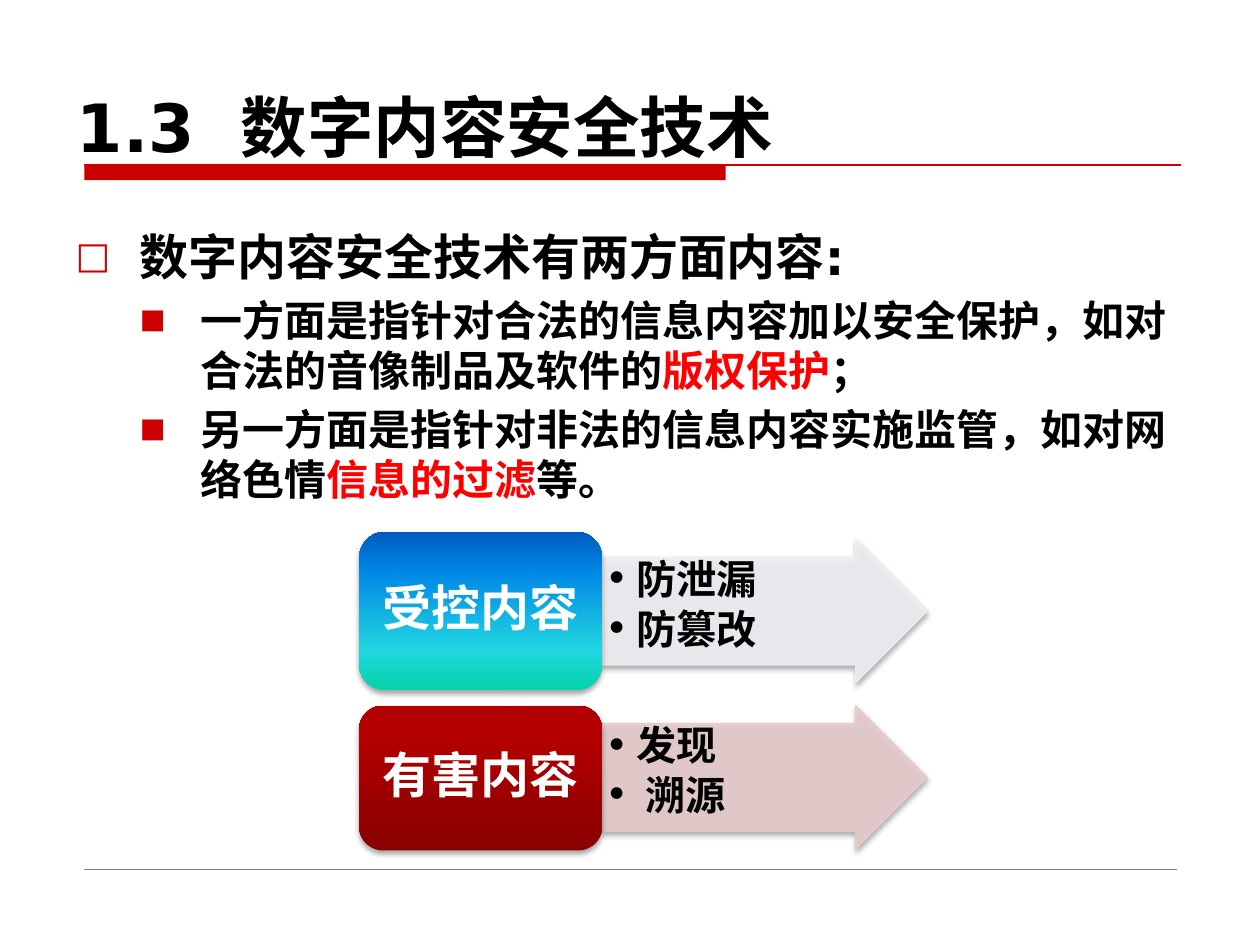
import pptx
import pptx.util
import pptx.dml.color
import pptx.enum.shapes
import pptx.enum.text
import pptx.oxml
import pptx.oxml.ns

Inches = pptx.util.Inches
Pt = pptx.util.Pt
RGBColor = pptx.dml.color.RGBColor
Shape = pptx.enum.shapes.MSO_SHAPE
Anchor = pptx.enum.text.MSO_ANCHOR
Align = pptx.enum.text.PP_ALIGN

BLACK = RGBColor(0, 0, 0)
WHITE = RGBColor(255, 255, 255)
RED = RGBColor(255, 0, 0)
CRIMSON = RGBColor(204, 0, 0)
GREY = RGBColor(128, 128, 128)
PALE_GREY = RGBColor(237, 239, 242)
PALE_RED = RGBColor(230, 203, 203)

LATIN = "DejaVu Sans"
CHINESE = "Noto Sans CJK SC"

TITLE = ["1.3", " ", "数字内容安全技术"]
HEADING = "数字内容安全技术有两方面内容:"
ASPECTS = [
    [("一方面是指针对合法的信息内容加以安全保护，如对合法的音像制品及软件的", BLACK),
     ("版权保护", RED), ("；", BLACK)],
    [("另一方面是指针对非法的信息内容实施监管，如对网络色情", BLACK),
     ("信息的过滤", RED), ("等。", BLACK)],
]
ROWS = [
    {"label": "受控内容", "measures": [("防泄漏", 0.25), ("防篡改", 0.25)],
     "pill": (4.22, 1.26), "arrow_top": 4.28, "tint": PALE_GREY,
     "stops": [(0, "03D4A8"), (25, "21D6E0"), (75, "0087E6"), (100, "005CBF")]},
    {"label": "有害内容", "measures": [("发现", 0.25), ("溯源", 0.32)],
     "pill": (5.6, 1.15), "arrow_top": 5.6, "tint": PALE_RED,
     "stops": [(0, "8A0000"), (80, "B30000"), (100, "B40000")]},
]
PILL_LEFT, PILL_WIDTH = 2.85, 1.93
ARROW_SIZE = (2.58, 1.14)


def element(xml):
    head, tail = xml.split(" ", 1) if " " in xml.split(">")[0] else (xml.split(">")[0].rstrip("/"), "")
    if not tail:
        tail = xml[len(head):]
    return pptx.oxml.parse_xml(f"{head} {pptx.oxml.ns.nsdecls('a')} {tail}")


def apply(target, values):
    for name, value in values.items():
        setattr(target, name, value)


def add_span(para, text, size, color=BLACK, font=LATIN):
    span = para.add_run()
    span.text = text
    apply(span.font, {"name": font, "size": Pt(size), "bold": True})
    span.font.color.rgb = color
    return span


def set_bullet(para, mark, color, percent, margin, hanging):
    properties = para._p.get_or_add_pPr()
    properties.set("marL", str(Inches(margin)))
    properties.set("indent", str(-Inches(hanging)))
    for xml in (f'<a:buClr><a:srgbClr val="{color}"/></a:buClr>',
                f'<a:buSzPct val="{percent * 1000}"/>',
                f'<a:buFont typeface="{LATIN}"/>',
                f'<a:buChar char="{mark}"/>'):
        properties.append(element(xml))


def place(box, left, top, width, height):
    apply(box, {"left": Inches(left), "top": Inches(top),
                "width": Inches(width), "height": Inches(height)})


def set_insets(frame, horizontal, vertical):
    apply(frame, {"margin_left": Inches(horizontal), "margin_right": Inches(horizontal),
                  "margin_top": Inches(vertical), "margin_bottom": Inches(vertical),
                  "word_wrap": True})


def add_rule(page, top, right, color, width):
    rule = page.shapes.add_connector(pptx.enum.shapes.MSO_CONNECTOR.STRAIGHT,
                                     Inches(0.67), Inches(top), Inches(right), Inches(top))
    rule.line.color.rgb = color
    rule.line.width = Pt(width)
    rule._element.spPr.append(element("<a:effectLst/>"))


def add_shadow(shape):
    shape._element.spPr.append(element(
        '<a:effectLst><a:outerShdw blurRad="40000" dist="23000" dir="5400000" rotWithShape="0">'
        '<a:srgbClr val="000000"><a:alpha val="35000"/></a:srgbClr></a:outerShdw></a:effectLst>'))


def add_arrow(page, row):
    arrow = page.shapes.add_shape(Shape.RIGHT_ARROW, Inches(PILL_LEFT + PILL_WIDTH),
                                  Inches(row["arrow_top"]), *map(Inches, ARROW_SIZE))
    arrow.adjustments[0] = 0.75
    arrow.adjustments[1] = 0.5
    arrow.fill.solid()
    arrow.line.width = Pt(0.75)
    for paint in (arrow.fill.fore_color, arrow.line.color):
        paint.rgb = row["tint"]
    for color in arrow._element.spPr.iter(pptx.oxml.ns.qn("a:srgbClr")):
        color.append(element('<a:alpha val="90000"/>'))
    add_shadow(arrow)
    frame = arrow.text_frame
    set_insets(frame, 0.02, 0.02)
    frame.vertical_anchor = Anchor.TOP
    for index, (text, indent) in enumerate(row["measures"]):
        para = frame.add_paragraph() if index else frame.paragraphs[0]
        set_bullet(para, "•", BLACK, 100, indent, indent)
        apply(para, {"alignment": Align.LEFT, "line_spacing": 0.9, "space_after": Pt(3.5)})
        add_span(para, text, 23)


def add_pill(page, row):
    top, height = row["pill"]
    pill = page.shapes.add_shape(Shape.ROUNDED_RECTANGLE, Inches(PILL_LEFT), Inches(top),
                                 Inches(PILL_WIDTH), Inches(height))
    stops = "".join(f'<a:gs pos="{position * 1000}"><a:srgbClr val="{color}"/></a:gs>'
                    for position, color in row["stops"])
    pill._element.spPr.append(element(
        f'<a:gradFill rotWithShape="1"><a:gsLst>{stops}</a:gsLst>'
        '<a:lin ang="16200000" scaled="0"/></a:gradFill>'))
    pill.line.fill.background()
    add_shadow(pill)
    frame = pill.text_frame
    set_insets(frame, 0.12, 0.06)
    frame.vertical_anchor = Anchor.MIDDLE
    para = frame.paragraphs[0]
    apply(para, {"alignment": Align.CENTER, "line_spacing": 0.9})
    add_span(para, row["label"], 28, WHITE)


def fill_title(title):
    place(title, 0.51, 0.68, 9, 0.69)
    apply(title.text_frame, {"vertical_anchor": Anchor.BOTTOM, "word_wrap": True,
                             "auto_size": pptx.enum.text.MSO_AUTO_SIZE.NONE})
    para = title.text_frame.paragraphs[0]
    para.alignment = Align.LEFT
    number, gap, name = [add_span(para, text, 38) for text in TITLE]
    gap.font._element.set("spc", "1300")


def fill_body(body):
    place(body, 0.5, 1.75, 9, 2.7)
    frame = body.text_frame
    apply(frame, {"word_wrap": True, "auto_size": pptx.enum.text.MSO_AUTO_SIZE.NONE})
    heading = frame.paragraphs[0]
    set_bullet(heading, "□", CRIMSON, 75, 0.51, 0.51)
    heading.space_before = Pt(0)
    add_span(heading, HEADING, 28)
    for aspect in ASPECTS:
        para = frame.add_paragraph()
        para.level = 1
        set_bullet(para, "■", CRIMSON, 65, 0.99, 0.48)
        para.space_before = Pt(4.8)
        for text, color in aspect:
            add_span(para, text, 24, color, CHINESE)


def main():
    deck = pptx.Presentation()
    apply(deck, {"slide_width": Inches(10), "slide_height": Inches(7.5)})
    page = deck.slides.add_slide(deck.slide_layouts[1])
    bar = page.shapes.add_shape(Shape.RECTANGLE, Inches(0.67), Inches(1.31),
                                Inches(5.09), Inches(0.12))
    bar.shadow.inherit = False
    bar.fill.solid()
    bar.fill.fore_color.rgb = CRIMSON
    bar.line.fill.background()
    add_rule(page, 1.31, 9.37, CRIMSON, 0.75)
    add_rule(page, 6.9, 9.34, GREY, 0.25)
    fill_title(page.shapes.title)
    fill_body(page.placeholders[1])
    for row in ROWS:
        add_arrow(page, row)
        add_pill(page, row)
    deck.save("out.pptx")


if __name__ == "__main__":
    main()
